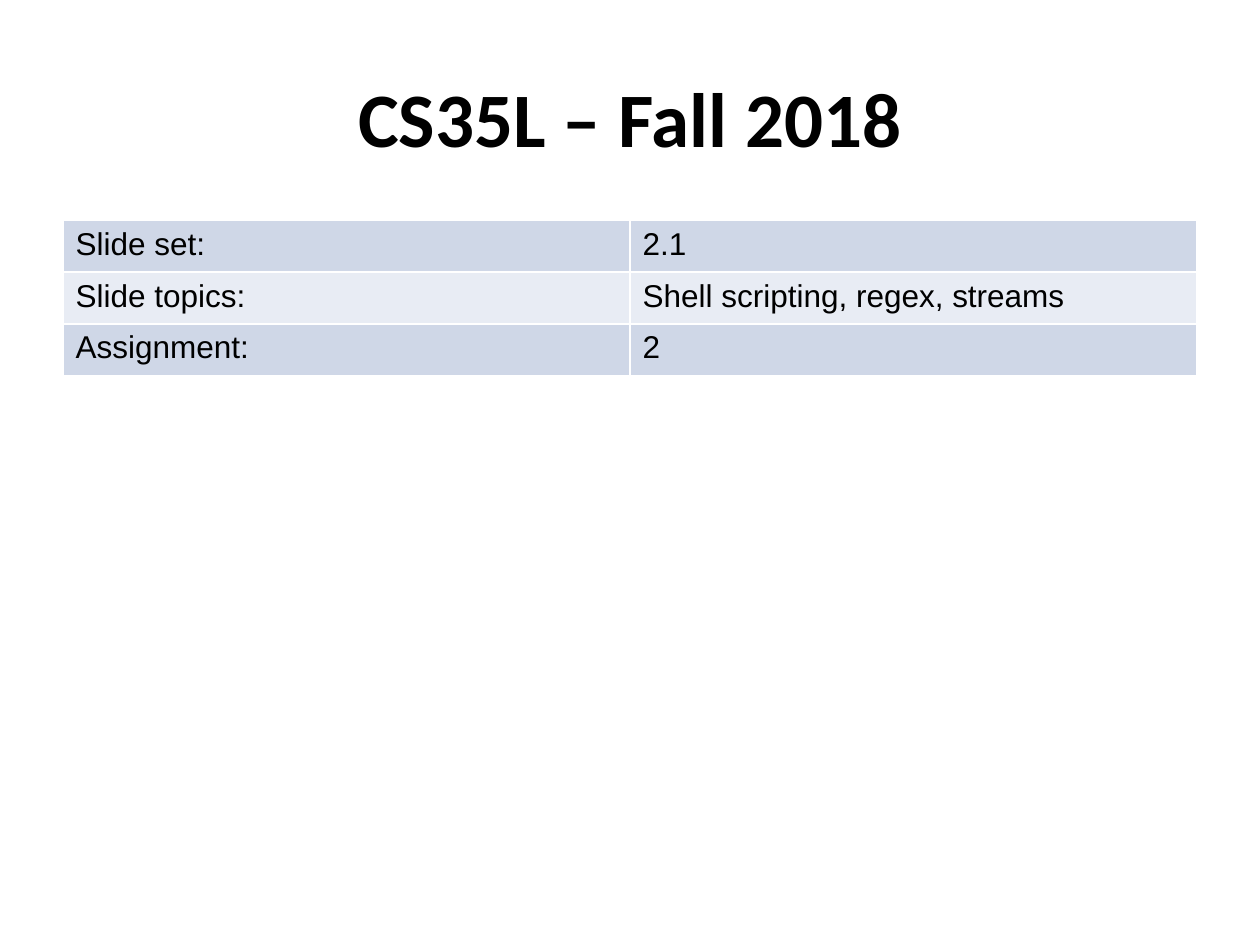
from pptx import Presentation
from pptx.dml.color import RGBColor
from pptx.enum.text import MSO_ANCHOR, PP_ALIGN
from pptx.util import Inches, Pt

BLACK = RGBColor(0x00, 0x00, 0x00)
BAND_DARK = RGBColor(0xCF, 0xD7, 0xE7)
BAND_LIGHT = RGBColor(0xE8, 0xEC, 0xF4)

MARGIN = 0.5
CONTENT_WIDTH = 9
ROW_HEIGHT = 0.41


class CourseSlide:
    heading_font = "Calibri"
    body_font = "Arial"
    bands = (BAND_DARK, BAND_LIGHT)

    def __init__(self, presentation):
        self.slide = presentation.slides.add_slide(presentation.slide_layouts[5])

    def style(self, frame, font_name, size, bold=False):
        for paragraph in frame.paragraphs:
            for run in paragraph.runs:
                run.font.name = font_name
                run.font.size = Pt(size)
                run.font.bold = bold
                run.font.color.rgb = BLACK

    def title(self, wording, top, height):
        heading = self.slide.shapes.title
        heading.left, heading.top = Inches(MARGIN), Inches(top)
        heading.width, heading.height = Inches(CONTENT_WIDTH), Inches(height)
        frame = heading.text_frame
        frame.text = wording
        frame.vertical_anchor = MSO_ANCHOR.MIDDLE
        frame.paragraphs[0].alignment = PP_ALIGN.CENTER
        self.style(frame, self.heading_font, 44, bold=True)

    def table(self, entries, top):
        overview = self.slide.shapes.add_table(
            len(entries), len(entries[0]), Inches(MARGIN), Inches(top),
            Inches(CONTENT_WIDTH), Inches(ROW_HEIGHT * len(entries))).table
        overview.first_row = False
        for row, entry in enumerate(entries):
            for column, wording in enumerate(entry):
                cell = overview.cell(row, column)
                cell.text_frame.text = wording
                cell.fill.solid()
                cell.fill.fore_color.rgb = self.bands[row % len(self.bands)]
                self.style(cell.text_frame, self.body_font, 18)


presentation = Presentation()
presentation.slide_width = Inches(10)
presentation.slide_height = Inches(7.5)

course = CourseSlide(presentation)
course.title("CS35L – Fall 2018", top=0.3, height=1.25)
course.table([
    ("Slide set:", "2.1"),
    ("Slide topics:", "Shell scripting, regex, streams"),
    ("Assignment:", "2"),
], top=1.75)

presentation.save("out.pptx")
